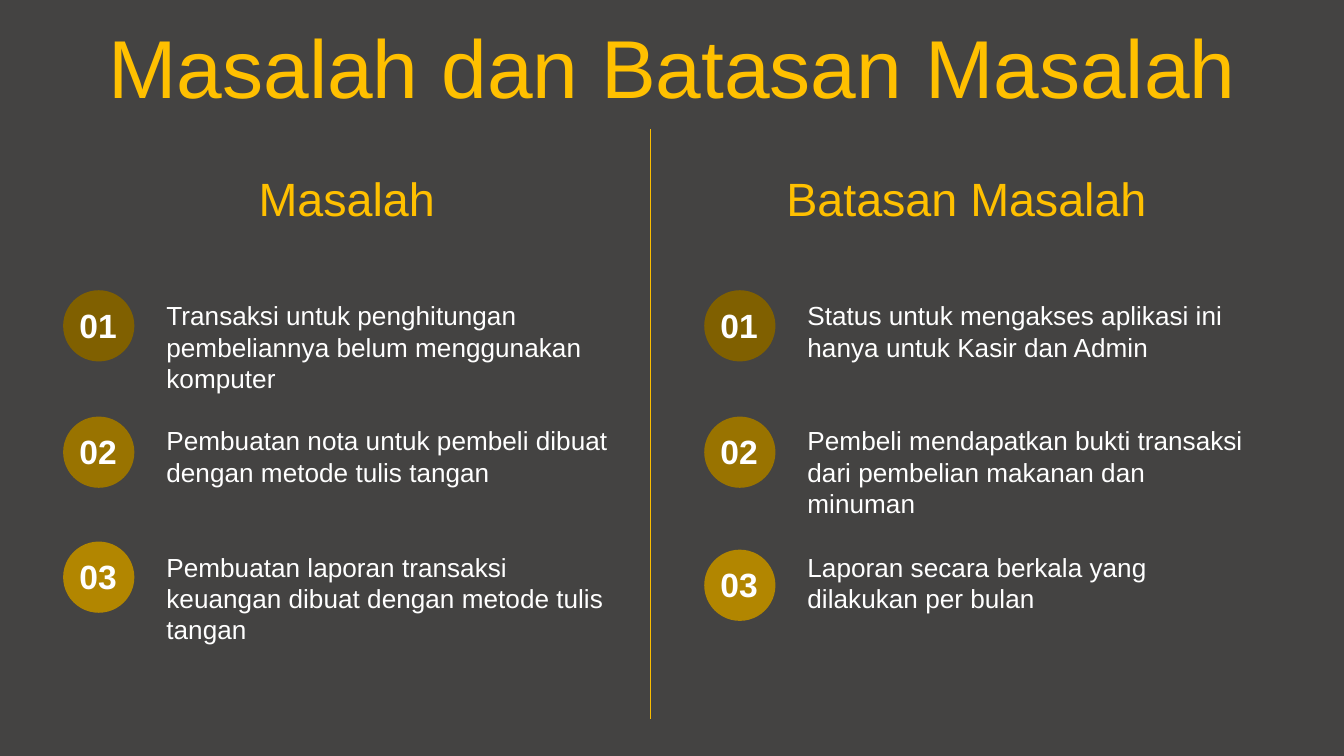
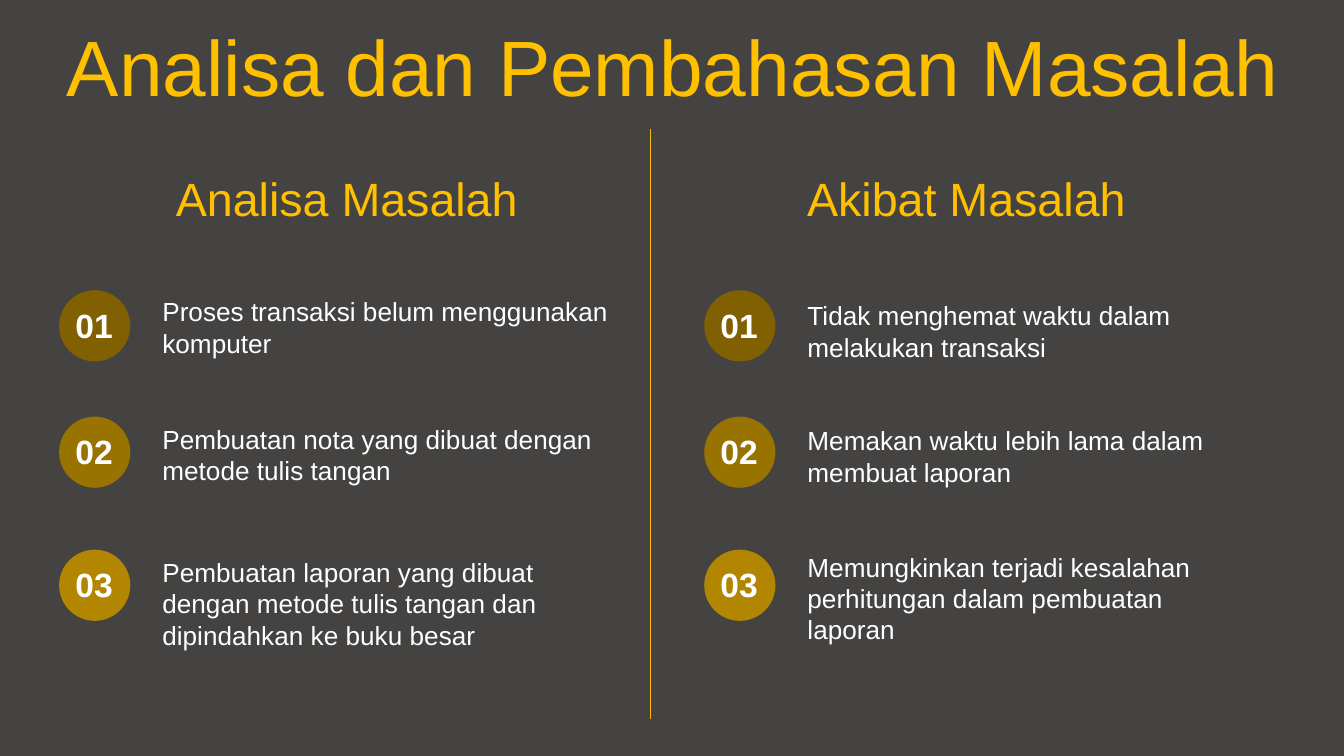
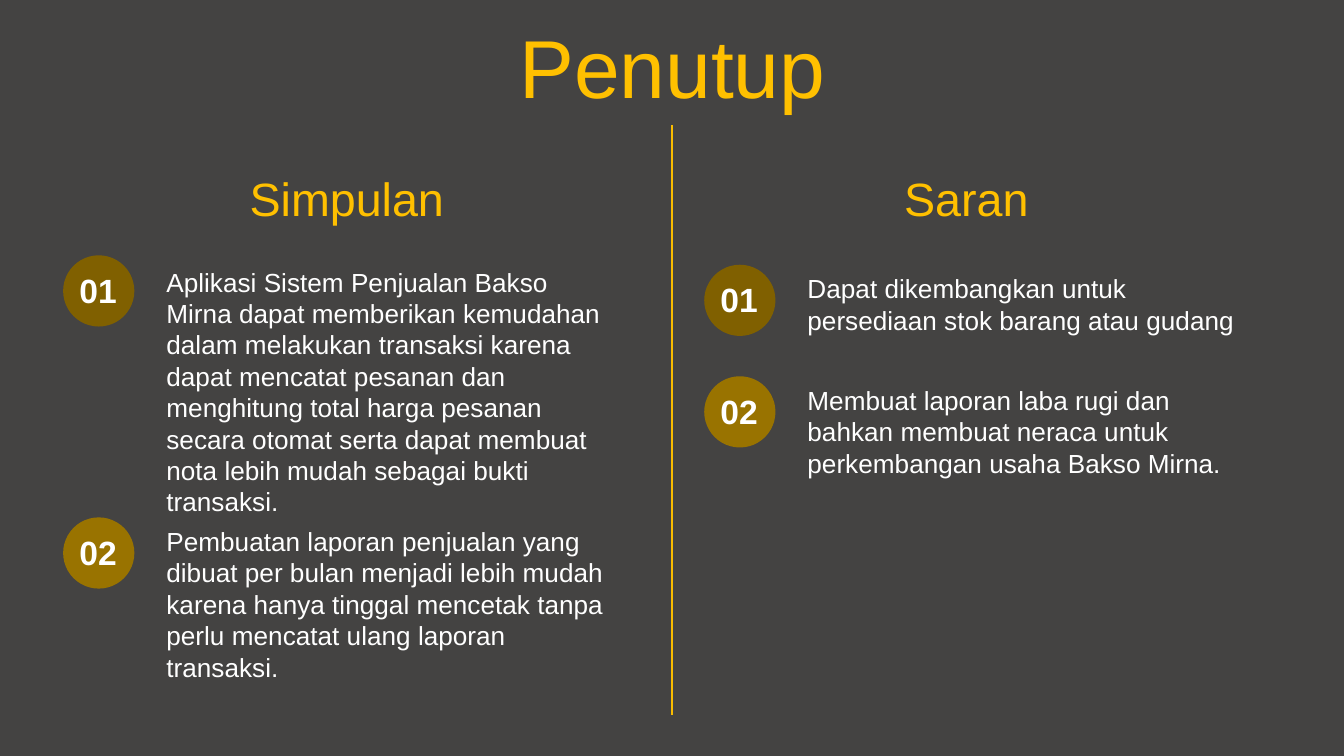
from lxml import etree
from pptx import Presentation
from pptx import util as u
from pptx.dml import color
from pptx.enum import shapes, text
from pptx.oxml import ns

Inches = u.Inches
GOLD, LINE_GOLD, WHITE, BACKGROUND = "FFC000", "F9BC00", "FFFFFF", "444342"
CIRCLE_FILLS = ["806000", "997300", "B28600"]
CIRCLE_SIZE, LINE_HEIGHT = 0.53, 0.235
CENTER, LEFT = text.PP_ALIGN.CENTER, text.PP_ALIGN.LEFT

TITLE_FORMAT = {"size": u.Pt(44), "bold": False}
LONG_TITLE_FORMAT = {"size": u.Pt(42), "bold": False}
HEADING_FORMAT = {"size": u.Pt(25), "bold": False}
NUMBER_FORMAT = {"size": u.Pt(18), "bold": True}
ITEM_FORMAT = {"size": u.Pt(14), "bold": False}


def rgb(hex_string):
    return color.RGBColor.from_string(hex_string)


def write(shape, box, words, font_format, hex_string, alignment):
    """Place a text shape and fill it with one formatted paragraph."""
    shape.left, shape.top, shape.width, shape.height = [Inches(n) for n in box]
    frame = shape.text_frame
    frame.text = words
    frame.word_wrap = True
    paragraph = frame.paragraphs[0]
    paragraph.alignment = alignment
    paragraph.space_before = u.Pt(0)
    paragraph.line_spacing = 1.0
    paragraph.font.name = "Arial"
    paragraph.font.color.rgb = rgb(hex_string)
    for name, value in font_format.items():
        setattr(paragraph.font, name, value)
    if shape.is_placeholder:
        frame.auto_size = text.MSO_AUTO_SIZE.NONE
        frame.vertical_anchor = text.MSO_ANCHOR.MIDDLE
    else:
        frame.auto_size = text.MSO_AUTO_SIZE.SHAPE_TO_FIT_TEXT


# Each column: heading, left of circles, items (circle top, text top, lines, text)
SLIDES = [
    {
        "title": "Masalah dan Batasan Masalah",
        "format": TITLE_FORMAT,
        "divider": (4.84, 0.96),
        "columns": [
            ("Masalah", 0.47, [
                (2.16, 2.18, 3, "Transaksi untuk penghitungan pembeliannya belum menggunakan komputer"),
                (3.1, 3.11, 2, "Pembuatan nota untuk pembeli dibuat dengan metode tulis tangan"),
                (4.03, 4.05, 3, "Pembuatan laporan transaksi keuangan dibuat dengan metode tulis tangan"),
            ]),
            ("Batasan Masalah", 5.24, [
                (2.16, 2.18, 2, "Status untuk mengakses aplikasi ini hanya untuk Kasir dan Admin"),
                (3.1, 3.11, 3, "Pembeli mendapatkan bukti transaksi dari pembelian makanan dan minuman"),
                (4.09, 4.05, 2, "Laporan secara berkala yang dilakukan per bulan"),
            ]),
        ],
    },
    {
        "title": "Analisa dan Pembahasan Masalah",
        "format": LONG_TITLE_FORMAT,
        "divider": (4.84, 0.96),
        "columns": [
            ("Analisa Masalah", 0.44, [
                (2.16, 2.15, 2, "Proses transaksi belum menggunakan komputer"),
                (3.1, 3.1, 2, "Pembuatan nota yang dibuat dengan metode tulis tangan"),
                (4.09, 4.09, 3, "Pembuatan laporan yang dibuat dengan metode tulis tangan "
                                "dan dipindahkan ke buku besar"),
            ]),
            ("Akibat Masalah", 5.24, [
                (2.16, 2.18, 2, "Tidak menghemat waktu dalam melakukan transaksi"),
                (3.1, 3.11, 2, "Memakan waktu lebih lama dalam membuat laporan"),
                (4.09, 4.05, 3, "Memungkinkan terjadi kesalahan perhitungan dalam pembuatan laporan"),
            ]),
        ],
    },
    {
        "title": "Penutup",
        "format": TITLE_FORMAT,
        "divider": (5, 0.93),
        "columns": [
            ("Simpulan", 0.47, [
                (1.9, 1.93, 8, "Aplikasi Sistem Penjualan Bakso Mirna dapat memberikan kemudahan "
                               "dalam melakukan transaksi karena dapat mencatat pesanan dan "
                               "menghitung total harga pesanan secara otomat serta dapat membuat "
                               "nota lebih mudah sebagai bukti transaksi."),
                (3.85, 3.86, 5, "Pembuatan laporan penjualan yang dibuat per bulan menjadi lebih "
                                "mudah karena hanya tinggal mencetak tanpa perlu mencatat ulang "
                                "laporan transaksi."),
            ]),
            ("Saran", 5.24, [
                (1.97, 1.98, 2, "Dapat dikembangkan untuk persediaan stok barang atau gudang"),
                (2.8, 2.81, 3, "Membuat laporan laba rugi dan bahkan membuat neraca untuk "
                               "perkembangan usaha Bakso Mirna."),
            ]),
        ],
    },
]
HEADING_BOXES = [(0.47, 1.16, 4.22, 0.63), (5.21, 1.16, 3.96, 0.63)]

# Widescreen page with a dark background on the master
presentation = Presentation()
presentation.slide_width = Inches(10)
presentation.slide_height = presentation.slide_width * 9 // 16
background = presentation.slide_master.background.fill
background.solid()
background.fore_color.rgb = rgb(BACKGROUND)
comparison_layout = presentation.slide_layouts[4]

for content in SLIDES:
    slide = presentation.slides.add_slide(comparison_layout)

    # Title; the layout's two content areas are not needed
    title, left_heading, left_content, right_heading, right_content = slide.placeholders
    for placeholder in (left_content, right_content):
        placeholder.element.getparent().remove(placeholder.element)
    write(title, (0.2, 0.17, 9.61, 0.63), content["title"], content["format"], GOLD, CENTER)

    # Divider between the columns
    x, top = content["divider"]
    divider = slide.shapes.add_connector(
        shapes.MSO_CONNECTOR.STRAIGHT, Inches(x), Inches(top), Inches(x), Inches(top + 4.39))
    divider.line.color.rgb = rgb(LINE_GOLD)
    divider.line.width = u.Pt(0.75)
    etree.SubElement(divider.element.spPr, ns.qn("a:effectLst"))

    # Column headings and numbered items
    headings = (left_heading, right_heading)
    for heading, box, column in zip(headings, HEADING_BOXES, content["columns"]):
        heading_text, left, items = column
        write(heading, box, heading_text, HEADING_FORMAT, GOLD, CENTER)
        for number, (circle_top, text_top, lines, words) in enumerate(items, 1):
            circle = slide.shapes.add_shape(
                shapes.MSO_SHAPE.OVAL, Inches(left), Inches(circle_top),
                Inches(CIRCLE_SIZE), Inches(CIRCLE_SIZE))
            circle.shadow.inherit = False
            circle.fill.solid()
            circle.fill.fore_color.rgb = rgb(CIRCLE_FILLS[number - 1])
            circle.line.fill.background()

            number_box = slide.shapes.add_textbox(0, 0, 0, 0)
            write(number_box, (left - 0.04, circle_top + 0.06, 0.6, 0.4),
                  f"{number:02}", NUMBER_FORMAT, WHITE, CENTER)
            item_box = slide.shapes.add_textbox(0, 0, 0, 0)
            write(item_box, (left + 0.67, text_top, 3.54, 0.1 + LINE_HEIGHT * lines),
                  words, ITEM_FORMAT, WHITE, LEFT)

presentation.save("out.pptx")
